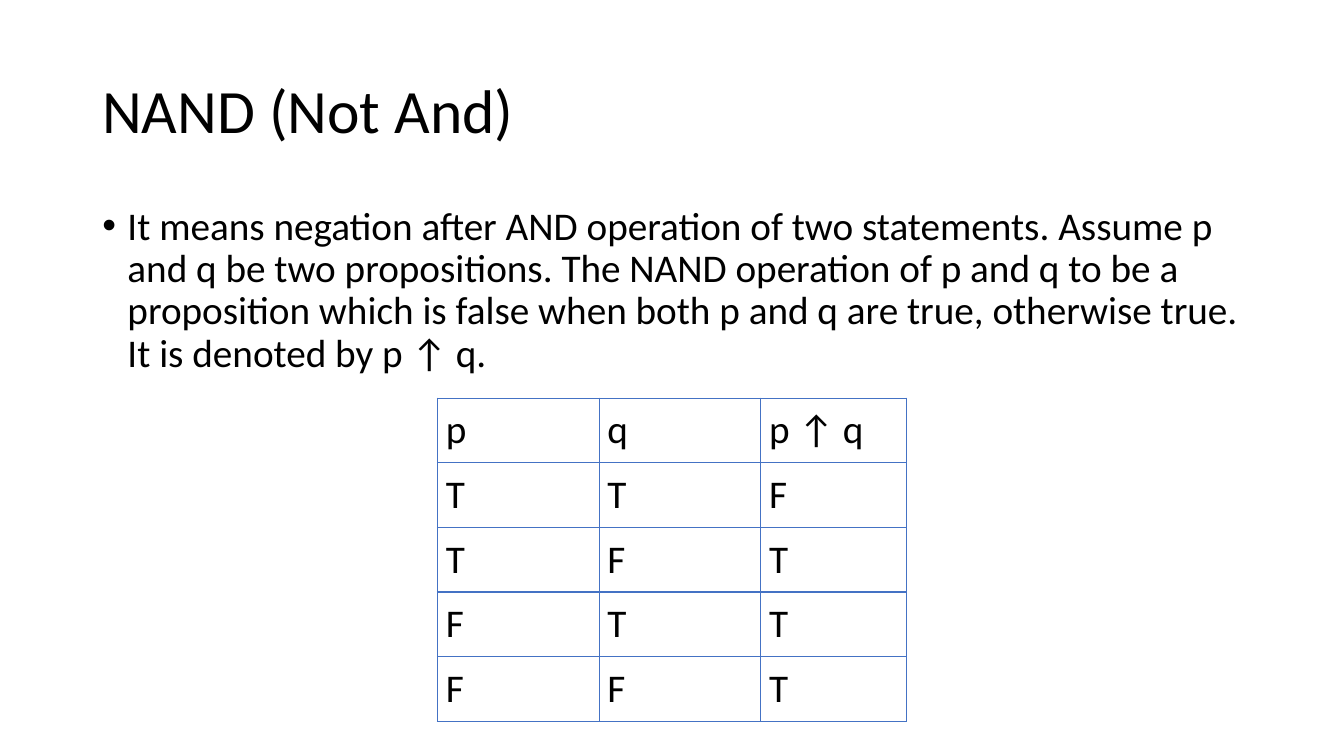
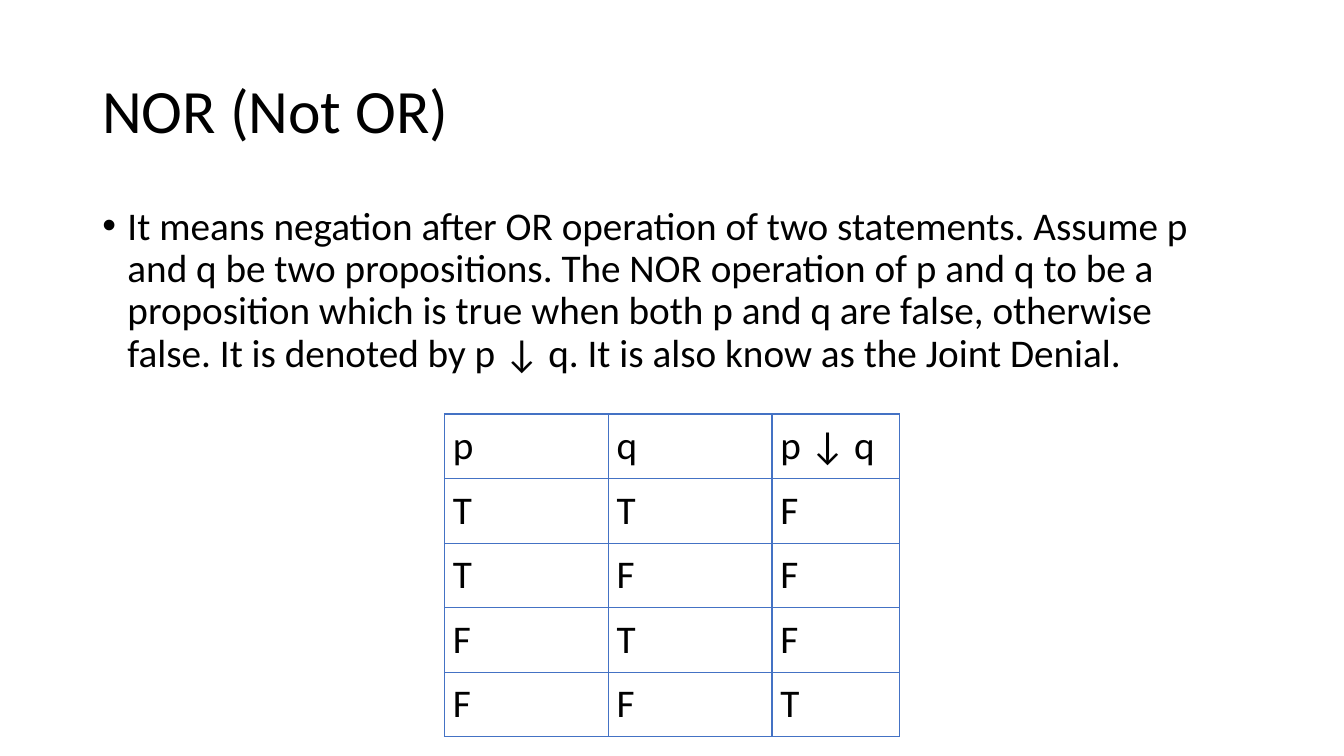
import itertools

import pptx
import pptx.dml.color
import pptx.enum.text
import pptx.oxml
import pptx.oxml.ns
import pptx.util

Pt = pptx.util.Pt
ANCHOR = pptx.enum.text.MSO_ANCHOR
BLACK = pptx.dml.color.RGBColor(0x00, 0x00, 0x00)
BLUE = pptx.dml.color.RGBColor(0x44, 0x72, 0xC4)

SLIDE_W, SLIDE_H = 960, 540
MARGIN = 66
ROW_H = 46.14
CELL_INSET = 5.95


class Deck:
    font = {"name": "Calibri"}
    title_font = {**font, "size": Pt(44)}
    body_font = {**font, "size": Pt(28)}

    def __init__(self):
        self.prs = pptx.Presentation()
        self.prs.slide_width, self.prs.slide_height = Pt(SLIDE_W), Pt(SLIDE_H)
        self.s = None

    def add_slide(self):
        self.s = self.prs.slides.add_slide(self.prs.slide_layouts[6])

    def add_text_run(self, p, text, font):
        r = p.add_run()
        r.text = text
        for name, value in font.items():
            setattr(r.font, name, value)
        r.font.color.rgb = BLACK

    def text(self, text, top, height, font, anchor):
        sp = self.s.shapes.add_textbox(
            Pt(MARGIN), Pt(top), Pt(SLIDE_W - 2 * MARGIN), Pt(height))
        tf = sp.text_frame
        tf.word_wrap = True
        tf.vertical_anchor = anchor
        p = tf.paragraphs[0]
        p.line_spacing = 0.9
        self.add_text_run(p, text, font)
        return p

    def title(self, text):
        self.text(text, 28.75, 104.4, self.title_font, ANCHOR.MIDDLE)

    def bullet(self, text):
        p = self.text(text, 143.75, 137, self.body_font, ANCHOR.TOP)
        p.space_before = Pt(10)
        pPr = p._p.get_or_add_pPr()
        pPr.set("marL", str(Pt(18)))
        pPr.set("indent", str(Pt(-18)))
        ns = pptx.oxml.ns.nsdecls("a")
        for xml in (f'<a:buFont {ns} typeface="Arial"/>',
                    f'<a:buChar {ns} char="•"/>'):
            pPr.append(pptx.oxml.parse_xml(xml))

    def border(self, cell):
        tcPr = cell._tc.get_or_add_tcPr()
        for i, side in enumerate(("lnL", "lnR", "lnT", "lnB")):
            tcPr.insert(i, pptx.oxml.parse_xml(
                f'<a:{side} {pptx.oxml.ns.nsdecls("a")} w="{Pt(1)}">'
                f'<a:solidFill><a:srgbClr val="{BLUE}"/></a:solidFill>'
                f'</a:{side}>'))

    def table(self, rows, top, widths):
        """Add a bordered table, centred across the slide."""
        width = sum(widths)
        table = self.s.shapes.add_table(
            len(rows), len(widths), Pt((SLIDE_W - width) / 2), Pt(top),
            Pt(width), Pt(ROW_H * len(rows))).table
        table.first_row = table.horz_banding = False
        for column, w in zip(table.columns, widths):
            column.width = Pt(w)
        for row, values in zip(table.rows, rows):
            row.height = Pt(ROW_H)
            for cell, value in zip(row.cells, values):
                for side in ("left", "right", "top", "bottom"):
                    setattr(cell, f"margin_{side}", Pt(CELL_INSET))
                cell.fill.background()
                self.border(cell)
                p = cell.text_frame.paragraphs[0]
                self.add_text_run(p, value, self.body_font)


def truth_table(symbol, operation):
    rows = [("p", "q", f"p {symbol} q")]
    for p, q in itertools.product((True, False), repeat=2):
        rows.append(["T" if v else "F" for v in (p, q, operation(p, q))])
    return rows


def main():
    deck = Deck()

    deck.add_slide()
    deck.title("NAND (Not And)")
    deck.bullet(
        "It means negation after AND operation of two statements. Assume p "
        "and q be two propositions. The NAND operation of p and q to be a "
        "proposition which is false when both p and q are true, otherwise "
        "true. It is denoted by p ↑ q.")
    deck.table(truth_table("↑", lambda p, q: not (p and q)),
               284.5, (115.5, 115.5, 104))

    deck.add_slide()
    deck.title("NOR (Not OR)")
    deck.bullet(
        "It means negation after OR operation of two statements. Assume p "
        "and q be two propositions. The NOR operation of p and q to be a "
        "proposition which is true when both p and q are false, otherwise "
        "false. It is denoted by p ↓ q. It is also know as the Joint Denial.")
    deck.table(truth_table("↓", lambda p, q: not (p or q)),
               295.75, (117, 117, 91))

    deck.prs.save("out.pptx")


if __name__ == "__main__":
    main()
